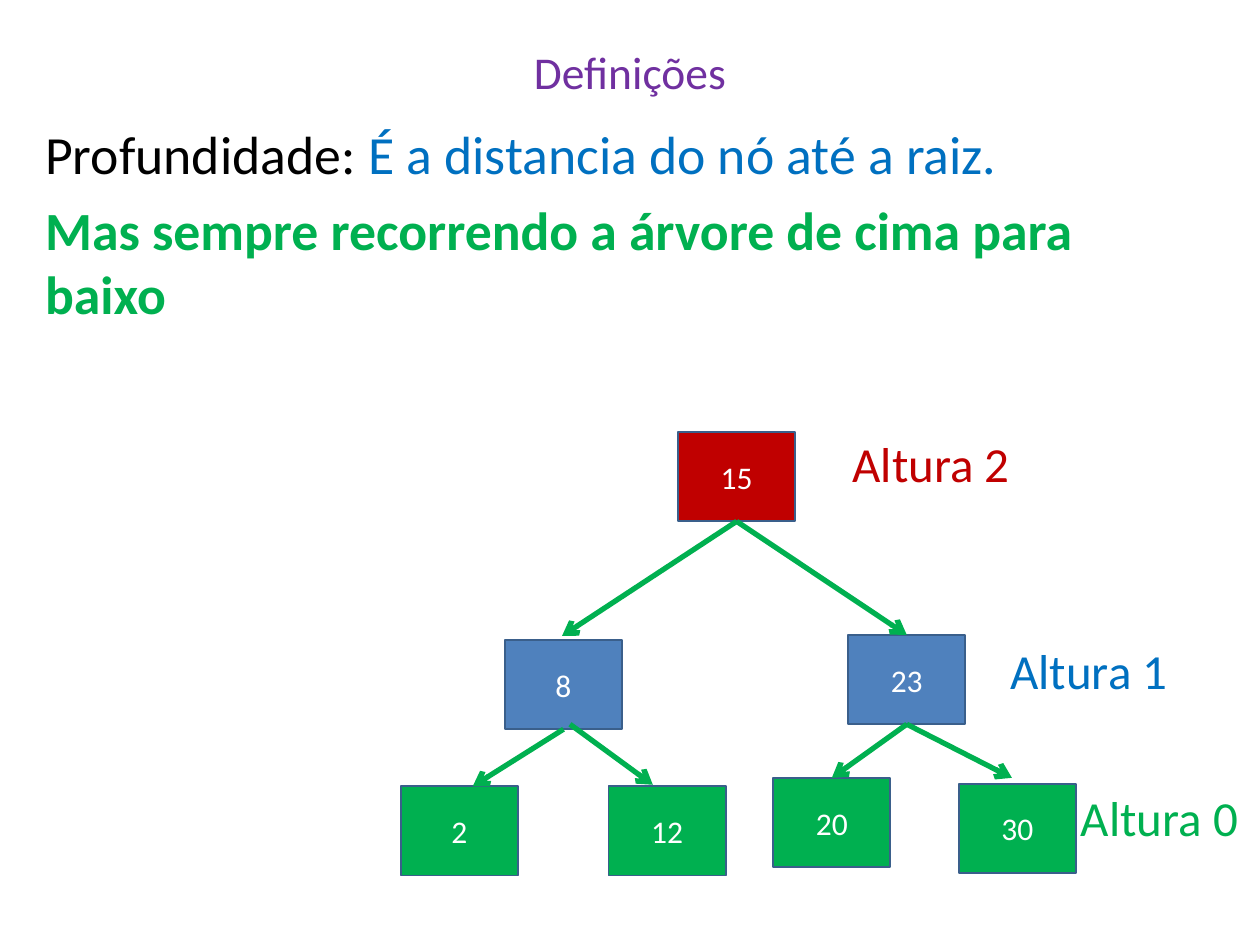
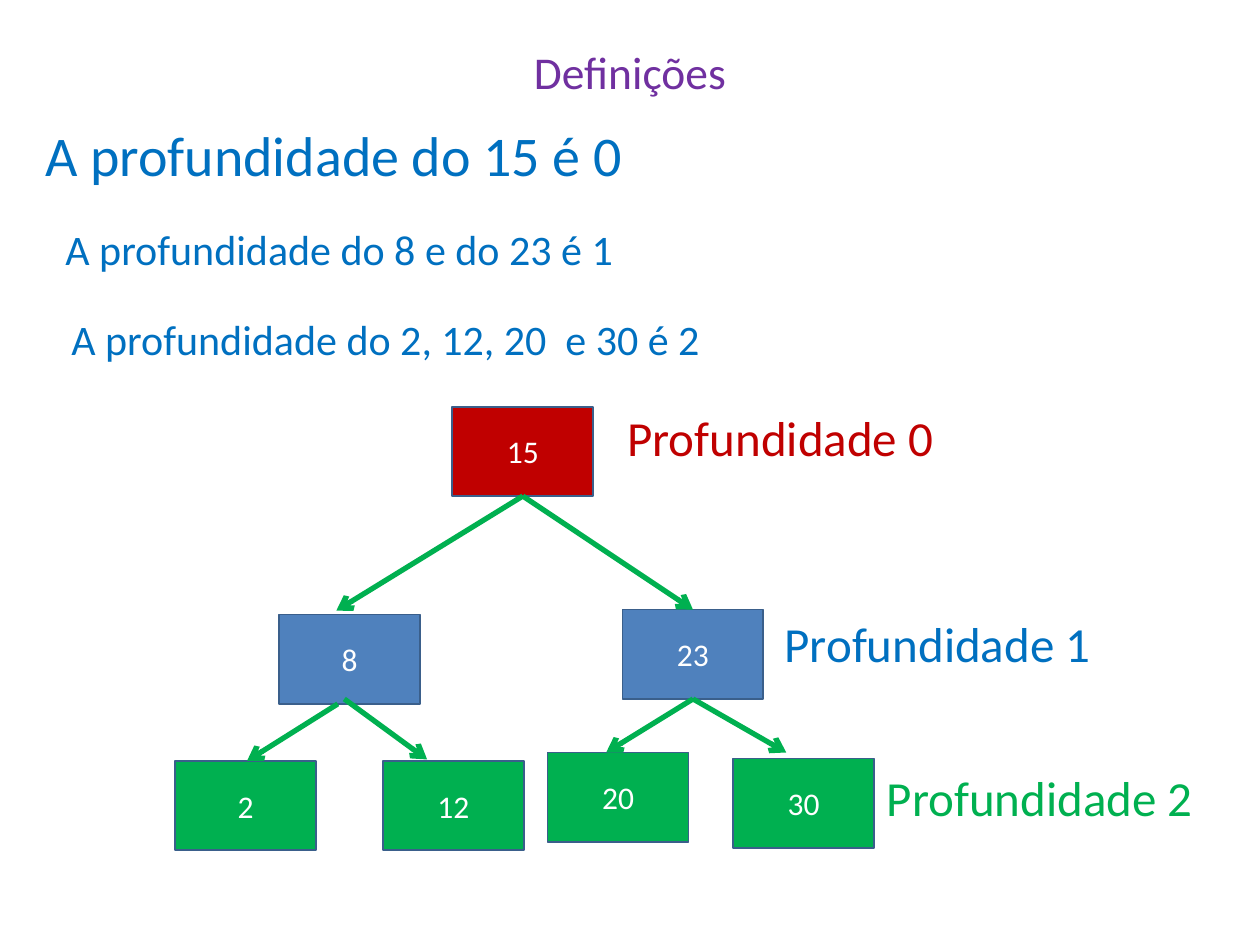
from lxml import etree
from pptx import Presentation
from pptx import util as u
from pptx.dml.color import RGBColor
from pptx.enum import shapes, text
from pptx.oxml.ns import qn

FONT = "Calibri"
BLACK, WHITE, PURPLE, EDGE = "000000", "FFFFFF", "7030A0", "3A5F8B"
RED, BLUE, GREEN, NODE_BLUE = "C00000", "0070C0", "00B050", "4F81BD"
LEVEL_COLORS = (RED, BLUE, GREEN)
TITLE = "Definições"
NODE_H = 1.8

NODES = {
    "8": (-3.49, 4.19, NODE_BLUE),
    "12": (-1.4, 7.14, GREEN),
    "15": (0, 0, RED),
    "2": (-5.59, 7.14, GREEN),
    "20": (1.92, 6.97, GREEN),
    "23": (3.43, 4.09, NODE_BLUE),
    "30": (5.66, 7.09, GREEN),
}
# A node name means the middle of its edge; a pair is measured from the root's left corner.
ARROWS = [
    ("15", (-2.34, 4.11)),
    ("15", "23"),
    ("23", (6.73, 6.97)),
    ("23", (3.1, 6.97)),
    ((-2.18, 5.89), (-0.51, 7.11)),
    ((-2.31, 5.99), (-4.14, 7.14)),
]

SLIDES = [
    {
        "texts": [
            ((0.66, 2.31, 23.7, 4.39), 30.7, [
                [("Profundidade: ", BLACK, False),
                 ("É a distancia do nó até a raiz.", BLUE, False)],
                [("Mas sempre recorrendo a árvore de cima para baixo", GREEN, True)],
            ]),
        ],
        "root": (14.85, 8.71),
        "node_w": 2.36,
        "label_w": 3.8,
        "labels": [("Altura 2", 16.94, 8.61), ("Altura 1", 20.12, 12.78),
                   ("Altura 0", 21.54, 15.75)],
    },
    {
        "texts": [
            ((0.66, 2.31, 13.44, 1.8), 32,
             [[("A profundidade do 15 é 0", BLUE, False)]]),
            ((1.07, 4.39, 13.44, 1.8), 24,
             [[("A profundidade do 8 e do 23 é 1", BLUE, False)]]),
            ((1.19, 6.2, 13.44, 1.8), 24,
             [[("A profundidade do 2, 12, 20  e 30 é 2", BLUE, False)]]),
        ],
        "root": (10.54, 8.2),
        "node_w": 2.84,
        "label_w": 7.2,
        "labels": [("Profundidade 0", 12.4, 8.1), ("Profundidade 1", 15.57, 12.24),
                   ("Profundidade 2", 17.63, 15.34)],
    },
]


def color(value):
    return RGBColor.from_string(value)


def cm(*values):
    return [u.Cm(v) for v in values]


def set_font(p, size, value):
    p.font.name, p.font.size = FONT, u.Pt(size)
    p.font.color.rgb = color(value)


def add_text(s, box, size, paragraphs, align=text.PP_ALIGN.LEFT,
             anchor=text.MSO_ANCHOR.TOP):
    tf = s.shapes.add_textbox(*cm(*box)).text_frame
    tf.word_wrap = True
    tf.vertical_anchor = anchor
    for i, runs in enumerate(paragraphs):
        p = tf.add_paragraph() if i else tf.paragraphs[0]
        p.alignment = align
        if i:
            p.space_before = u.Pt(6.4)
        set_font(p, size, runs[0][1])
        for words, value, bold in runs:
            r = p.add_run()
            r.text = words
            r.font.name, r.font.size, r.font.bold = FONT, u.Pt(size), bold
            r.font.color.rgb = color(value)


def add_node(s, name, x, y, w, fill):
    sp = s.shapes.add_shape(shapes.MSO_SHAPE.RECTANGLE, *cm(x, y, w, NODE_H))
    sp.shadow.inherit = False
    sp.fill.solid()
    sp.fill.fore_color.rgb = color(fill)
    sp.line.color.rgb = color(EDGE)
    sp.line.width = u.Pt(1)
    tf = sp.text_frame
    tf.vertical_anchor = text.MSO_ANCHOR.MIDDLE
    p = tf.paragraphs[0]
    p.text = name
    p.alignment = text.PP_ALIGN.CENTER
    set_font(p, 18, WHITE)


def add_arrow(s, start, end):
    c = s.shapes.add_connector(shapes.MSO_CONNECTOR.STRAIGHT, *cm(*start, *end))
    c.line.color.rgb = color(GREEN)
    c.line.width = u.Pt(3)
    etree.SubElement(c.line._get_or_add_ln(), qn("a:tailEnd"), type="arrow")
    etree.SubElement(c._element.spPr, qn("a:effectLst"))


def add_tree(s, root, node_w):
    root_x, root_y = root

    def point(target, drop):
        if isinstance(target, str):
            dx, dy, _ = NODES[target]
            return root_x + dx, root_y + dy + drop
        dx, dy = target
        return root_x - node_w / 2 + dx, root_y + dy

    for name, (dx, dy, fill) in NODES.items():
        add_node(s, name, root_x + dx - node_w / 2, root_y + dy, node_w, fill)
    for start, end in ARROWS:
        add_arrow(s, point(start, NODE_H), point(end, 0))


def main():
    prs = Presentation()
    prs.slide_width, prs.slide_height = cm(25.4, 19.05)
    for content in SLIDES:
        s = prs.slides.add_slide(prs.slide_layouts[6])
        add_text(s, (1.27, 0.76, 22.86, 1.37), 26, [[(TITLE, PURPLE, False)]],
                 text.PP_ALIGN.CENTER, text.MSO_ANCHOR.MIDDLE)
        for box, size, paragraphs in content["texts"]:
            add_text(s, box, size, paragraphs)
        add_tree(s, content["root"], content["node_w"])
        for (words, x, y), value in zip(content["labels"], LEVEL_COLORS):
            add_text(s, (x, y, content["label_w"], 1.42), 28, [[(words, value, False)]])
    prs.save("out.pptx")


if __name__ == "__main__":
    main()
